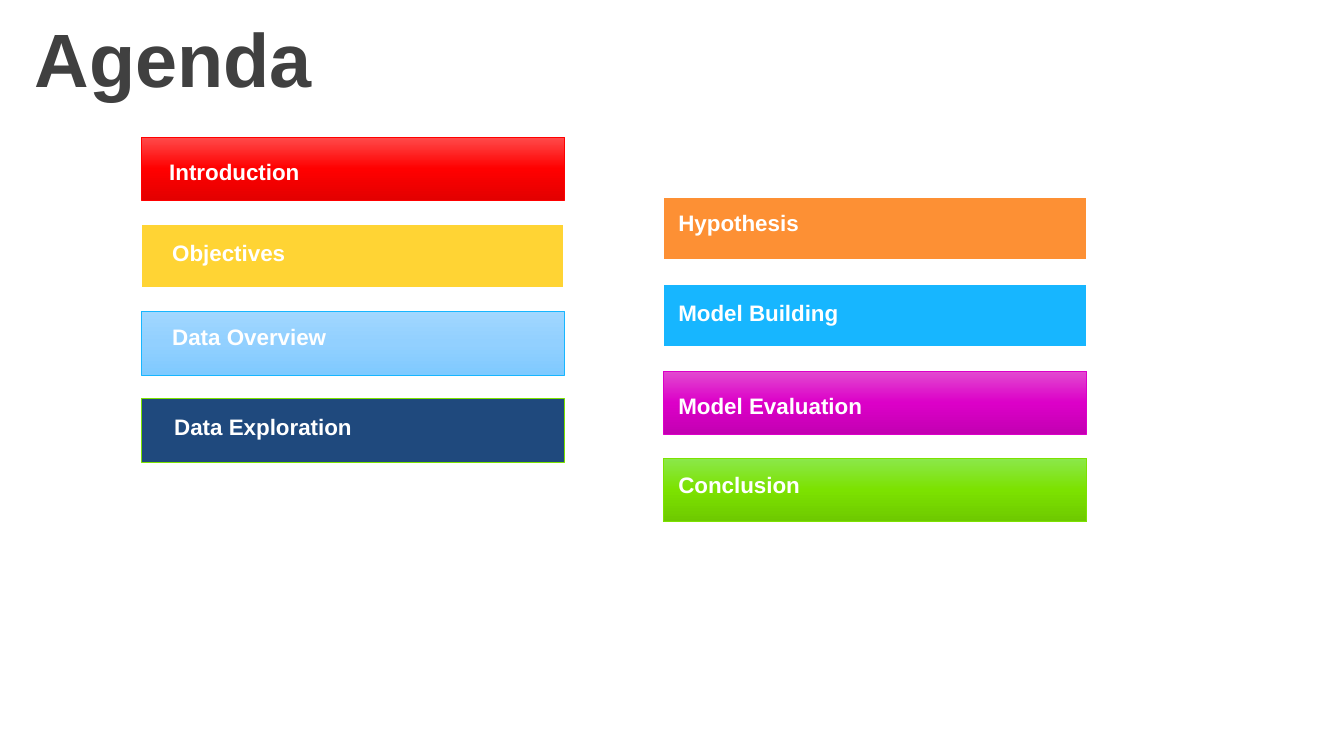
import copy

import pptx
import pptx.dml.color
import pptx.enum.shapes
import pptx.enum.text
import pptx.oxml.ns
import pptx.util

RGB = pptx.dml.color.RGBColor
WHITE = RGB(0xFF, 0xFF, 0xFF)
CHARCOAL = RGB(0x40, 0x40, 0x40)
RED = RGB(0xFF, 0x00, 0x00)
RED_LIGHT = RGB(0xFF, 0x4B, 0x4B)
RED_DARK = RGB(0xE3, 0x00, 0x00)
YELLOW = RGB(0xFF, 0xD4, 0x34)
SKY = RGB(0x92, 0xD0, 0xFF)
SKY_LIGHT = RGB(0xA1, 0xD7, 0xFF)
SKY_DARK = RGB(0x7F, 0xCA, 0xFF)
NAVY = RGB(0x1F, 0x49, 0x7D)
ORANGE = RGB(0xFD, 0x90, 0x34)
BLUE = RGB(0x17, 0xB6, 0xFF)
MAGENTA = RGB(0xDC, 0x00, 0xC8)
MAGENTA_LIGHT = RGB(0xE2, 0x4B, 0xD0)
MAGENTA_DARK = RGB(0xC3, 0x00, 0xB2)
GREEN = RGB(0x7C, 0xE2, 0x00)
GREEN_LIGHT = RGB(0x8B, 0xE8, 0x4B)
GREEN_DARK = RGB(0x6E, 0xC9, 0x00)

FONT = "Arial"
SLIDE_SIZE = (13.33, 7.5)

# Agenda grid, in inches: every column holds four equally spaced bars
BAR_WIDTH, BAR_HEIGHT = 4.2, 0.63
ROW_PITCH = 0.865
LABEL_HEIGHT = 0.37
LEFT_COLUMN = (1.4, 1.36)
RIGHT_COLUMN = (6.58, 1.95)

# Topic, fill colours, outline colour, outline width, label offset in the bar, label width
LEFT_TOPICS = [
    ("Introduction", (RED_LIGHT, RED, RED_DARK), RED, 0.5, (0.18, 0.16), 3.69),
    ("Objectives", (YELLOW,), WHITE, 1.5, (0.21, 0.1), 3.04),
    ("Data Overview", (SKY_LIGHT, SKY, SKY_DARK), BLUE, 0.5, (0.21, 0.07), 3.04),
    ("Data Exploration", (NAVY,), GREEN, 0.5, (0.23, 0.09), 3.04),
]
RIGHT_TOPICS = [
    ("Hypothesis", (ORANGE,), WHITE, 1.5, (0.05, 0.08), 3.76),
    ("Model Building", (BLUE,), WHITE, 1.5, (0.05, 0.1), 3.76),
    ("Model Evaluation", (MAGENTA_LIGHT, MAGENTA, MAGENTA_DARK), MAGENTA, 0.5,
     (0.05, 0.16), 3.76),
    ("Conclusion", (GREEN_LIGHT, GREEN, GREEN_DARK), GREEN, 0.5, (0.05, 0.08), 3.76),
]


def inches(box):
    return [pptx.util.Inches(length) for length in box]


def add_label(slide, box, text, size, color):
    label = slide.shapes.add_textbox(*inches(box))
    frame = label.text_frame
    frame.word_wrap = True
    frame.auto_size = pptx.enum.text.MSO_AUTO_SIZE.SHAPE_TO_FIT_TEXT
    frame.text = text
    font = frame.paragraphs[0].runs[0].font
    font.name, font.size, font.bold = FONT, pptx.util.Pt(size), True
    font.color.rgb = color
    return frame


def paint(bar, colors):
    """Fill with one colour, or with three blending from top to bottom."""
    if len(colors) == 1:
        bar.fill.solid()
        bar.fill.fore_color.rgb = colors[0]
        return
    bar.fill.gradient()
    bar.fill.gradient_angle = 270
    # The default gradient has two stops; add the third
    stop_list = next(bar._element.iter(pptx.oxml.ns.qn("a:gsLst")))
    stop_list.append(copy.deepcopy(stop_list[-1]))
    for stop, position, color in zip(bar.fill.gradient_stops, (0, 0.5, 1), colors):
        stop.position = position
        stop.color.rgb = color


def add_bar(slide, box, colors, outline, outline_width):
    bar = slide.shapes.add_shape(
        pptx.enum.shapes.MSO_SHAPE.RECTANGLE, *inches(box))
    bar.shadow.inherit = False
    paint(bar, colors)
    bar.line.color.rgb = outline
    bar.line.width = pptx.util.Pt(outline_width)


def add_title(slide, box):
    frame = add_label(slide, box, "Agenda", 54, CHARCOAL)
    frame.vertical_anchor = pptx.enum.text.MSO_ANCHOR.MIDDLE
    frame.paragraphs[0].alignment = pptx.enum.text.PP_ALIGN.CENTER


def add_topic_column(slide, origin, topics):
    left, first_top = origin
    for row, (topic, colors, outline, outline_width, offset, width) in enumerate(topics):
        top = first_top + row * ROW_PITCH
        add_bar(slide, (left, top, BAR_WIDTH, BAR_HEIGHT), colors, outline, outline_width)
        label_box = (left + offset[0], top + offset[1], width, LABEL_HEIGHT)
        add_label(slide, label_box, topic, 16, WHITE)


def main():
    deck = pptx.Presentation()
    deck.slide_width, deck.slide_height = inches(SLIDE_SIZE)
    agenda = deck.slides.add_slide(deck.slide_layouts[6])
    add_title(agenda, (0, 0.06, 3.44, 1.01))
    add_topic_column(agenda, LEFT_COLUMN, LEFT_TOPICS)
    add_topic_column(agenda, RIGHT_COLUMN, RIGHT_TOPICS)
    deck.save("out.pptx")


if __name__ == "__main__":
    main()
